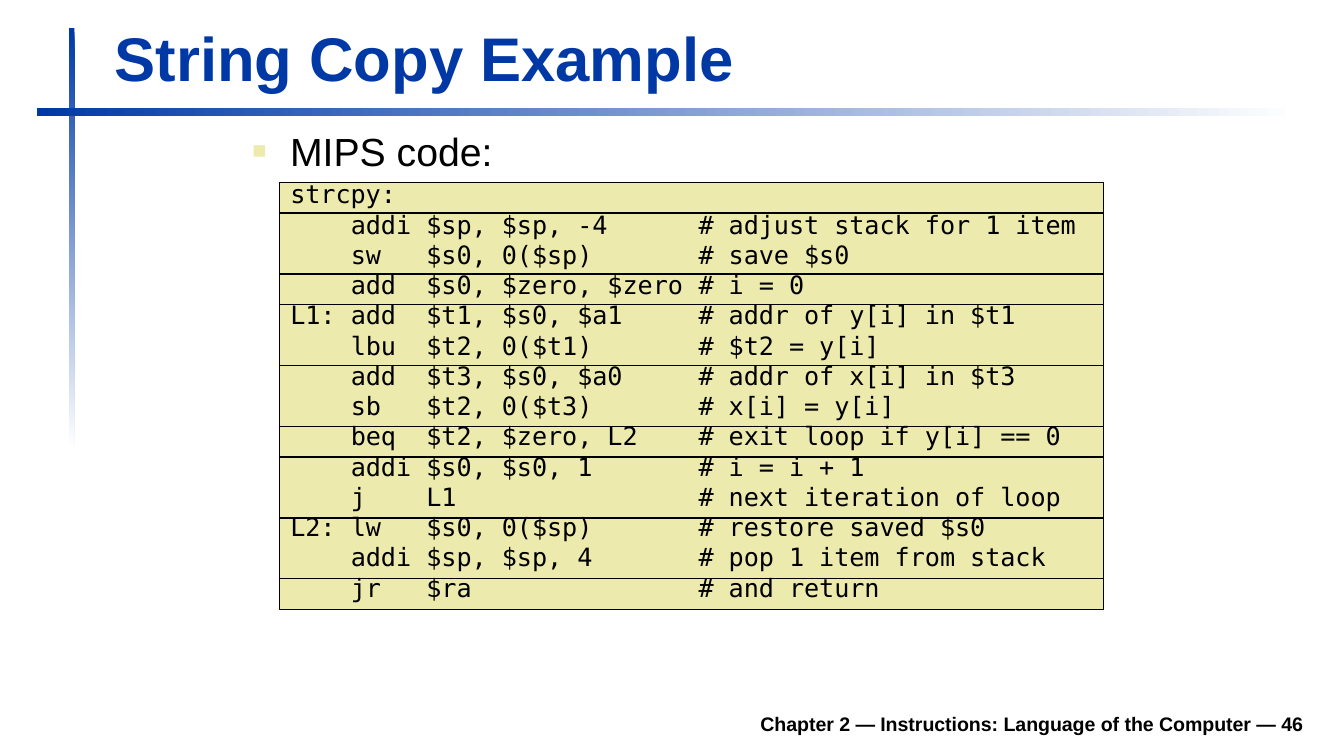
from dataclasses import dataclass
from itertools import accumulate
from typing import NamedTuple

from lxml.etree import SubElement
from pptx import Presentation
from pptx.dml.color import RGBColor as RGB
from pptx.enum.shapes import MSO_SHAPE as SHAPE
from pptx.enum.text import MSO_ANCHOR as ANCHOR, PP_ALIGN as ALIGN
from pptx.oxml.ns import qn
from pptx.util import Inches, Pt


@dataclass(frozen=True)
class Theme:
    blue: RGB = RGB(0x00, 0x39, 0xA6)
    white: RGB = RGB(0xFF, 0xFF, 0xFF)
    black: RGB = RGB(0, 0, 0)
    sand: RGB = RGB(0xEC, 0xEA, 0xAC)
    sans: str = "Arial"
    mono: str = "DejaVu Sans Mono"
    title: float = 33
    body: float = 21
    code: float = 13.5
    footer: float = 10.5
    char_width: float = 8.1
    line_height: float = 16.2


class Box(NamedTuple):
    left: float
    top: float
    width: float
    height: float


class Rule(NamedTuple):
    box: Box
    angle: int


class Instr(NamedTuple):
    label: str
    op: str = ""
    args: str = ""
    comment: str = ""


T = Theme()
WIDTH = Inches(10)
HEIGHT = WIDTH * 9 // 16
RULES = (Rule(Box(5.15, 3.75, 0.4, 55.64), 270), Rule(Box(2.75, 14.26, 93.7, 1.07), 0))
BAND = Box(20.8, 24.18, 61.3, 4.03)
BLOCK_LINES = (1, 2, 1, 2, 2, 1, 2, 2, 1)
TAB_COLUMNS = (4, 9, 27)
CODE = (
    Instr("strcpy:"),
    Instr("", "addi", "$sp, $sp, -4", "# adjust stack for 1 item"),
    Instr("", "sw", "$s0, 0($sp)", "# save $s0"),
    Instr("", "add", "$s0, $zero, $zero", "# i = 0"),
    Instr("L1:", "add", "$t1, $s0, $a1", "# addr of y[i] in $t1"),
    Instr("", "lbu", "$t2, 0($t1)", "# $t2 = y[i]"),
    Instr("", "add", "$t3, $s0, $a0", "# addr of x[i] in $t3"),
    Instr("", "sb", "$t2, 0($t3)", "# x[i] = y[i]"),
    Instr("", "beq", "$t2, $zero, L2", "# exit loop if y[i] == 0"),
    Instr("", "addi", "$s0, $s0, 1", "# i = i + 1"),
    Instr("", "j", "L1", "# next iteration of loop"),
    Instr("L2:", "lw", "$s0, 0($sp)", "# restore saved $s0"),
    Instr("", "addi", "$sp, $sp, 4", "# pop 1 item from stack"),
    Instr("", "jr", "$ra", "# and return"),
)


def place(box: Box) -> tuple:
    """Turn percentages of the slide into lengths."""
    sides = (WIDTH, HEIGHT, WIDTH, HEIGHT)
    return tuple(round(side * share / 100) for side, share in zip(sides, box))


def add_rect(slide, box: Box):
    """Add a rectangle without a shadow."""
    s = slide.shapes.add_shape(SHAPE.RECTANGLE, *place(box))
    s.shadow.inherit = False
    return s


def add_rule(slide, rule: Rule) -> None:
    """Draw a bar that fades from blue to white."""
    s = add_rect(slide, rule.box)
    s.line.fill.background()
    s.fill.gradient()
    s.fill.gradient_angle = rule.angle
    for stop, color in zip(s.fill.gradient_stops, (T.blue, T.white)):
        stop.color.rgb = color


def add_block(slide, first: int, lines: int) -> None:
    """Draw the outlined band behind a group of code lines."""
    s = add_rect(slide, BAND._replace(top=BAND.top + first * BAND.height,
                                      height=lines * BAND.height))
    s.fill.solid()
    s.fill.fore_color.rgb = T.sand
    s.line.color.rgb = T.black
    s.line.width = Pt(0.75)


def add_text(slide, box: Box, lines: list, size: float, color: RGB = T.black,
             font: str = T.sans, bold: bool = False, frame: dict = {}, para: dict = {}):
    """Add a text box with one paragraph per line and return its paragraphs."""
    tf = slide.shapes.add_textbox(*place(box)).text_frame
    for name, value in {"word_wrap": True, **frame}.items():
        setattr(tf, name, value)
    for i, line in enumerate(lines):
        p = tf.add_paragraph() if i else tf.paragraphs[0]
        for name, value in para.items():
            setattr(p, name, value)
        r = p.add_run()
        r.text = line
        for name, value in {"size": Pt(size), "name": font, "bold": bold}.items():
            setattr(r.font, name, value)
        r.font.color.rgb = color
    return tf.paragraphs


def add_bullet(p) -> None:
    """Give a paragraph a small square bullet and a hanging indent."""
    pPr = p._p.get_or_add_pPr()
    indent = Inches(0.28)
    pPr.set("marL", str(indent))
    pPr.set("indent", str(-indent))
    SubElement(SubElement(pPr, qn("a:buClr")), qn("a:srgbClr"), val=str(T.sand))
    SubElement(pPr, qn("a:buSzPct"), val="60000")
    SubElement(pPr, qn("a:buFont"), typeface=T.sans)
    SubElement(pPr, qn("a:buChar"), char="■")


def add_tabs(p) -> None:
    """Set tab stops at the code columns."""
    tabs = SubElement(p._p.get_or_add_pPr(), qn("a:tabLst"))
    for column in TAB_COLUMNS:
        SubElement(tabs, qn("a:tab"), pos=str(Pt(column * T.char_width)), algn="l")


def main() -> None:
    """Build and save the slide."""
    prs = Presentation()
    prs.slide_width, prs.slide_height = WIDTH, HEIGHT
    slide = prs.slides.add_slide(prs.slide_layouts[6])
    for rule in RULES:
        add_rule(slide, rule)
    add_text(slide, Box(18.5, 93.02, 79.5, 5.16),
             ["Chapter 2 — Instructions: Language of the Computer — 46"], T.footer,
             bold=True, frame={"vertical_anchor": ANCHOR.BOTTOM},
             para={"alignment": ALIGN.RIGHT})
    starts = accumulate(BLOCK_LINES, initial=0)
    for first, lines in zip(starts, BLOCK_LINES):
        add_block(slide, first, lines)
    add_text(slide, Box(7.55, 1.6, 90.3, 11.73), ["String Copy Example"], T.title,
             T.blue, bold=True, frame={"vertical_anchor": ANCHOR.BOTTOM})
    for p in add_text(slide, Box(17.8, 15.9, 69.2, 7.12), ["MIPS code:"], T.body):
        add_bullet(p)
    margins = dict.fromkeys(("margin_left", "margin_top", "margin_right", "margin_bottom"), 0)
    code = ["\t".join(instr).rstrip() for instr in CODE]
    for p in add_text(slide, Box(21.6, 23.62, 60.5, 56.4), code, T.code, font=T.mono,
                      frame=margins, para={"line_spacing": Pt(T.line_height)}):
        add_tabs(p)
    prs.save("out.pptx")


if __name__ == "__main__":
    main()
